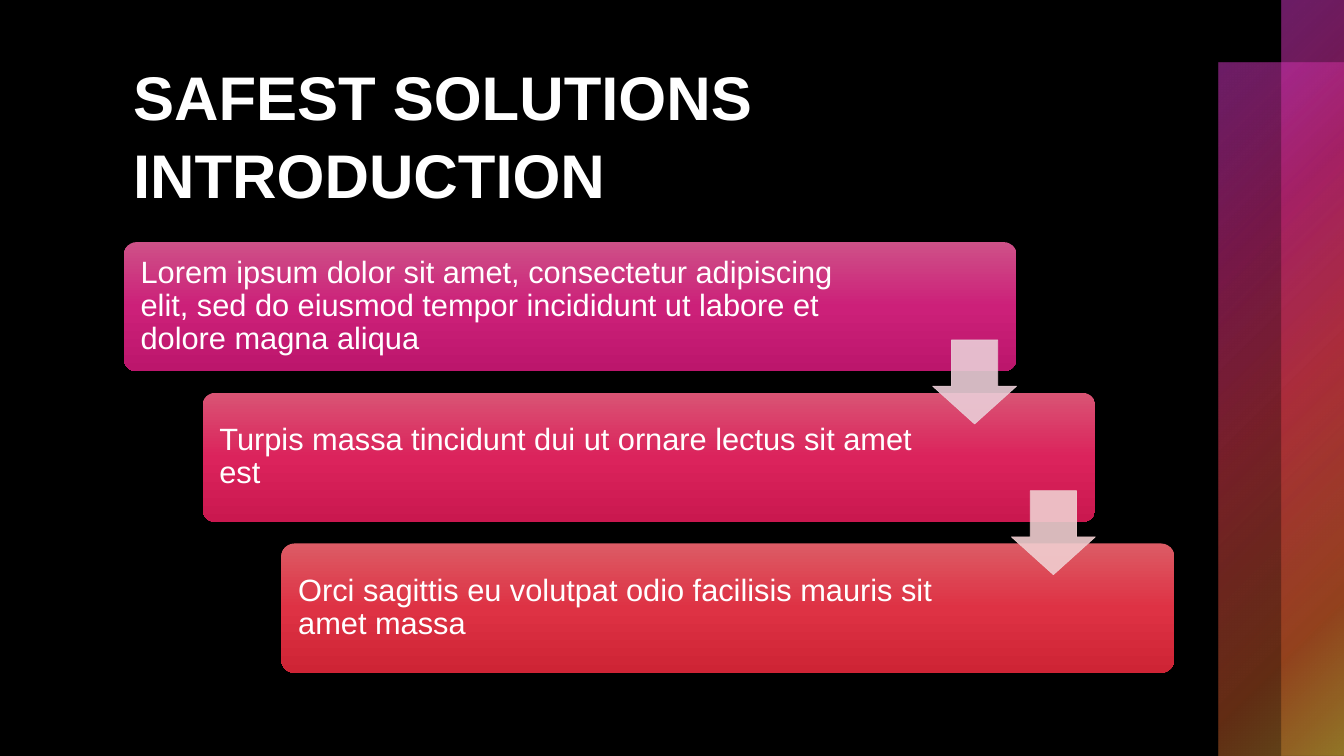
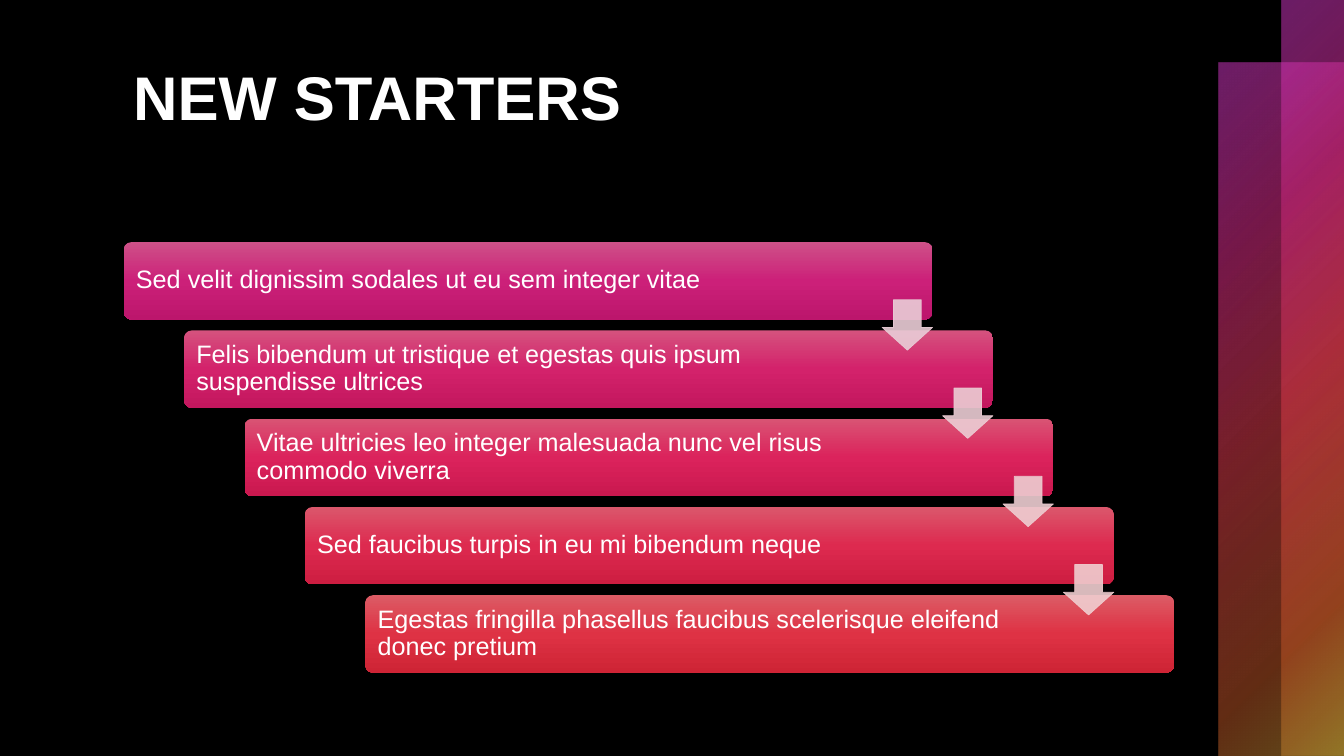
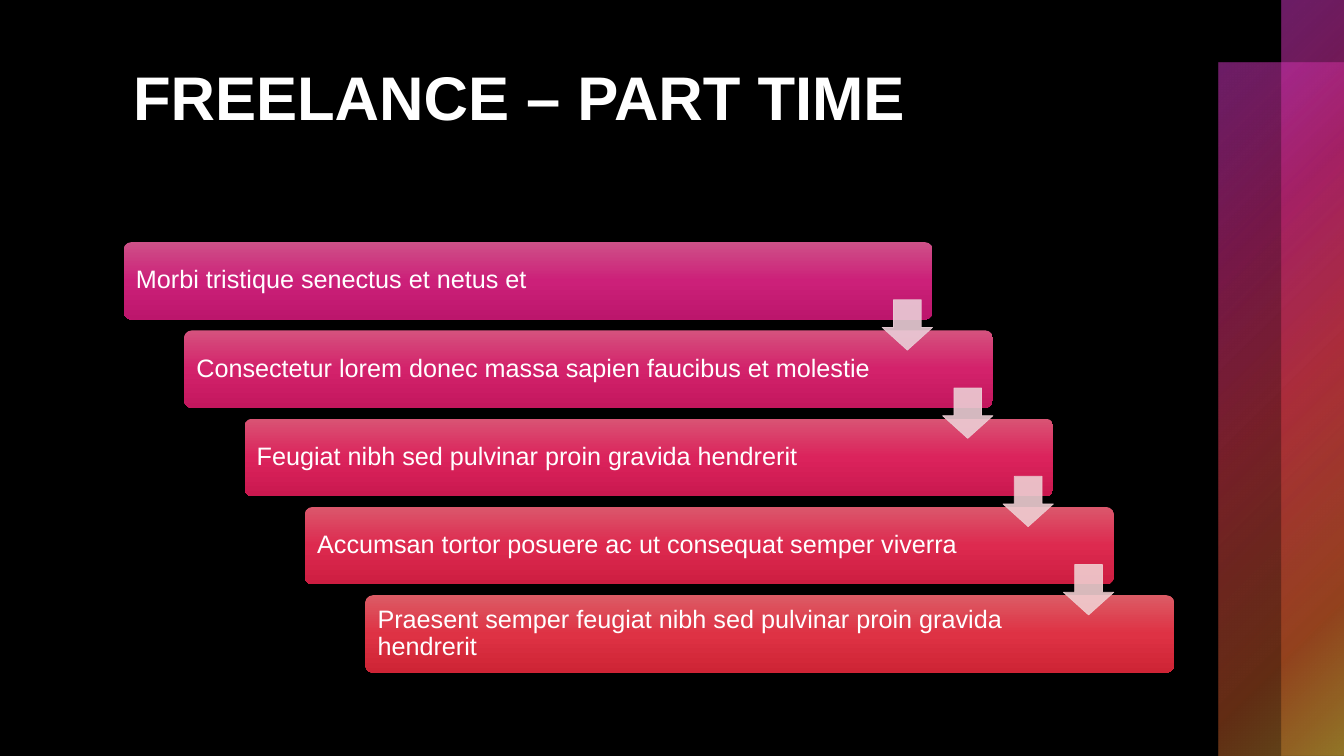
from lxml import etree
from pptx import Presentation
from pptx.dml.color import RGBColor
from pptx.enum.shapes import MSO_SHAPE
from pptx.enum.text import MSO_ANCHOR, MSO_AUTO_SIZE, PP_ALIGN
from pptx.oxml import parse_xml
from pptx.oxml.ns import nsdecls, qn
from pptx.util import Cm, Pt

RECTANGLE = MSO_SHAPE.RECTANGLE
ROUNDED = MSO_SHAPE.ROUNDED_RECTANGLE
DOWN_ARROW = MSO_SHAPE.DOWN_ARROW
TOP, MIDDLE = MSO_ANCHOR.TOP, MSO_ANCHOR.MIDDLE
LEFT = PP_ALIGN.LEFT
NO_AUTOFIT = MSO_AUTO_SIZE.NONE

SLIDES = [
    ("SAFEST SOLUTIONS INTRODUCTION", [
        "Lorem ipsum dolor sit amet, consectetur adipiscing elit, sed do "
        "eiusmod tempor incididunt ut labore et dolore magna aliqua",
        "Turpis massa tincidunt dui ut ornare lectus sit amet est",
        "Orci sagittis eu volutpat odio facilisis mauris sit amet massa",
    ]),
    ("NEW STARTERS", [
        "Sed velit dignissim sodales ut eu sem integer vitae",
        "Felis bibendum ut tristique et egestas quis ipsum suspendisse ultrices",
        "Vitae ultricies leo integer malesuada nunc vel risus commodo viverra",
        "Sed faucibus turpis in eu mi bibendum neque",
        "Egestas fringilla phasellus faucibus scelerisque eleifend donec pretium",
    ]),
    ("FREELANCE – PART TIME", [
        "Morbi tristique senectus et netus et",
        "Consectetur lorem donec massa sapien faucibus et molestie",
        "Feugiat nibh sed pulvinar proin gravida hendrerit",
        "Accumsan tortor posuere ac ut consequat semper viverra",
        "Praesent semper feugiat nibh sed pulvinar proin gravida hendrerit",
    ]),
]

FONT = "Arial"
BLACK, WHITE = "000000", "FFFFFF"

# Gradient stops: position %, colour, opacity %
BAND_STOPS = [(0, "D63ACC", 50), (25, "C42879", 60), (50, "D63A4A", 55),
              (81, "C45928", 50), (99, "C39D35", 50)]
STEP_COLOURS = [
    ("CE5188", "CC2079", "BC166C"),
    ("D5527E", "D3226B", "C3175E"),
    ("D95474", "DB235C", "CA184F"),
    ("DB576C", "DD2A4F", "CD1D41"),
    ("DC5B65", "DE3244", "CE2435"),
]
ARROW_COLOURS = ["EACDD7", "ECCDD4", "EECED2", "F0CED0"]
ARROW_OPACITY = 90

DOWNWARD = '<a:lin ang="5400000" scaled="0"/>'
FROM_TOP_LEFT = ('<a:path path="circle">'
                 '<a:fillToRect r="100000" b="100000"/></a:path>')

# All lengths below are in centimetres: left, top, width, height
SLIDE_WIDTH, SLIDE_HEIGHT = 33.87, 19.05
TITLE_AREA = (3.1, 1.27, 26.34, 4.32)
STAIR_AREA = (3.12, 6.1, 26.47, 10.85)
BANDS = [(30.72, 1.58, 3.15, 17.47), (32.3, 0, 1.57, 19.05)]

# By number of steps: box size as a share of the stair area, text layout
STAIR_STYLES = {
    3: {"width": 0.85, "height": 0.3, "size": 22, "left": 0.33, "right": 4.4},
    5: {"width": 0.77, "height": 0.18, "size": 18, "left": 0.25, "right": 3.0},
}
ARROW_SHARE = 0.65


def colour(hex_code):
    return RGBColor.from_string(hex_code)


def add_plain_shape(slide, preset, area):
    """Add a preset shape without shadow or outline."""
    shape = slide.shapes.add_shape(preset, *(Cm(length) for length in area))
    shape.shadow.inherit = False
    shape.line.fill.background()
    return shape


def fill_gradient(shape, stops, direction):
    stop_xml = "".join(
        f'<a:gs pos="{position * 1000}"><a:srgbClr val="{hex_code}">'
        f'<a:alpha val="{opacity * 1000}"/></a:srgbClr></a:gs>'
        for position, hex_code, opacity in stops)
    gradient = parse_xml(
        f'<a:gradFill {nsdecls("a")} rotWithShape="1">'
        f'<a:gsLst>{stop_xml}</a:gsLst>{direction}</a:gradFill>')
    shape.fill.background()
    properties = shape.element.spPr
    properties.replace(properties.find(qn("a:noFill")), gradient)


def add_bands(slide):
    for area in BANDS:
        band = add_plain_shape(slide, RECTANGLE, area)
        fill_gradient(band, BAND_STOPS, FROM_TOP_LEFT)


def set_title(slide, text):
    title = slide.shapes.title
    title.left, title.top, title.width, title.height = map(Cm, TITLE_AREA)
    frame = title.text_frame
    frame.text = text
    frame.word_wrap = True
    frame.auto_size = NO_AUTOFIT
    frame.vertical_anchor = TOP
    paragraph = frame.paragraphs[0]
    paragraph.alignment = LEFT
    paragraph.line_spacing = 1.05
    set_font(paragraph, 44, bold=True)


def set_font(paragraph, size, bold=False):
    font = paragraph.font
    font.name, font.size, font.bold = FONT, Pt(size), bold
    font.color.rgb = colour(WHITE)


def add_step(slide, area, text, colours, style):
    step = add_plain_shape(slide, ROUNDED, area)
    step.adjustments[0] = 0.1
    stops = [(position, hex_code, 100)
             for position, hex_code in zip((0, 50, 100), colours)]
    fill_gradient(step, stops, DOWNWARD)
    frame = step.text_frame
    frame.text = text
    frame.word_wrap = True
    frame.vertical_anchor = MIDDLE
    frame.margin_left, frame.margin_right = Cm(style["left"]), Cm(style["right"])
    frame.margin_top = frame.margin_bottom = 0
    paragraph = frame.paragraphs[0]
    paragraph.alignment = LEFT
    paragraph.line_spacing = 0.9
    set_font(paragraph, style["size"])


def add_arrow(slide, area, hex_code):
    arrow = add_plain_shape(slide, DOWN_ARROW, area)
    arrow.adjustments[0], arrow.adjustments[1] = 0.55, 0.45
    for fill in (arrow.fill, arrow.line.fill):
        fill.solid()
        fill.fore_color.rgb = colour(hex_code)
    arrow.line.width = Pt(0.5)
    for shade in arrow.element.spPr.iter(qn("a:srgbClr")):
        etree.SubElement(shade, qn("a:alpha"), val=str(ARROW_OPACITY * 1000))


def spread(colours, count):
    """Pick count entries evenly from the first to the last."""
    return [colours[i * (len(colours) - 1) // (count - 1)] for i in range(count)]


def add_stair(slide, texts):
    """Add descending steps, then an arrow across each gap."""
    count = len(texts)
    style = STAIR_STYLES[count]
    left, top, total_width, total_height = STAIR_AREA
    width, height = total_width * style["width"], total_height * style["height"]
    shift = (total_width - width) / (count - 1)
    pitch = (total_height - height) / (count - 1)
    corners = [(left + i * shift, top + i * pitch) for i in range(count)]

    for (x, y), text, colours in zip(corners, texts, spread(STEP_COLOURS, count)):
        add_step(slide, (x, y, width, height), text, colours, style)

    side = height * ARROW_SHARE
    for (x, y), hex_code in zip(corners, spread(ARROW_COLOURS, count - 1)):
        gap_middle = y + (height + pitch) / 2
        add_arrow(slide, (x + width - side, gap_middle - side / 2, side, side),
                  hex_code)


def main():
    prs = Presentation()
    prs.slide_width, prs.slide_height = Cm(SLIDE_WIDTH), Cm(SLIDE_HEIGHT)
    background = prs.slide_master.background.fill
    background.solid()
    background.fore_color.rgb = colour(BLACK)
    title_only = prs.slide_layouts.get_by_name("Title Only")

    for title, steps in SLIDES:
        slide = prs.slides.add_slide(title_only)
        add_bands(slide)
        set_title(slide, title)
        add_stair(slide, steps)

    prs.save("out.pptx")


if __name__ == "__main__":
    main()
